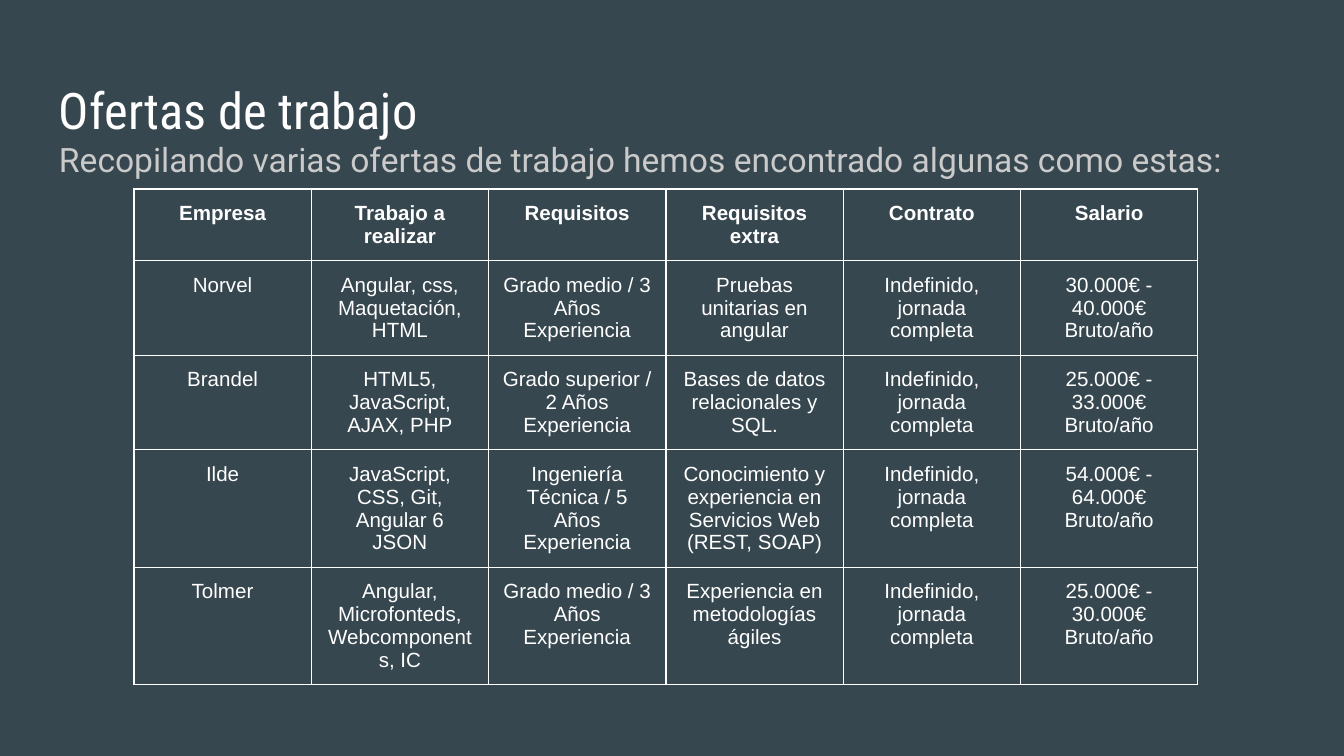
from lxml import etree
from pptx import Presentation
from pptx.dml.color import RGBColor
from pptx.enum import text
from pptx.oxml import ns
from pptx.util import Emu, Pt

SCALE = 914400 / 134.4  # EMU per px
INSET = 13
COLORS = {"background": "37474F", "white": "FFFFFF", "subtitle": "CACACA"}

HEADERS = ["Empresa", "Trabajo a realizar", "Requisitos",
           "Requisitos extra", "Contrato", "Salario"]
CONTRACT = "Indefinido, jornada completa"
OFFERS = [
    ["Norvel", "Angular, css, Maquetación, HTML", "Grado medio / 3 Años Experiencia",
     "Pruebas unitarias en angular", CONTRACT, "30.000€ - 40.000€ Bruto/año"],
    ["Brandel", "HTML5, JavaScript, AJAX, PHP", "Grado superior / 2 Años Experiencia",
     "Bases de datos relacionales y SQL.", CONTRACT, "25.000€ - 33.000€ Bruto/año"],
    ["Ilde", "JavaScript,\nCSS, Git, Angular 6\nJSON",
     "Ingeniería Técnica / 5 Años Experiencia",
     "Conocimiento y experiencia en Servicios Web (REST, SOAP)", CONTRACT,
     "54.000€ - 64.000€ Bruto/año"],
    ["Tolmer", "Angular, Microfonteds, Webcomponents, IC",
     "Grado medio / 3 Años Experiencia", "Experiencia en metodologías ágiles",
     CONTRACT, "25.000€ - 30.000€ Bruto/año"],
]


def px(length):
    return Emu(round(length * SCALE))


def color(name):
    return RGBColor.from_string(COLORS[name])


def set_insets(target):
    for side in ("left", "top", "right", "bottom"):
        setattr(target, "margin_" + side, px(INSET))


def add_span(para, words, font, size, color_name, bold=False):
    span = para.add_run()
    span.text = words
    span.font.name = font
    span.font.size = Pt(size)
    span.font.bold = bold
    span.font.color.rgb = color(color_name)


def fill_placeholder(holder, box, words, font, size, color_name, spacing):
    holder.left, holder.top, holder.width, holder.height = map(px, box)
    frame = holder.text_frame
    set_insets(frame)
    frame.word_wrap = True
    frame.auto_size = text.MSO_AUTO_SIZE.NONE
    frame.vertical_anchor = text.MSO_ANCHOR.TOP
    para = frame.paragraphs[0]
    para.alignment = text.PP_ALIGN.LEFT
    para.line_spacing = spacing
    para.space_before = Pt(0)
    # No bullet and no hanging indent
    properties = para._p.get_or_add_pPr()
    properties.set("marL", "0")
    properties.set("indent", "0")
    etree.SubElement(properties, ns.qn("a:buNone"))
    add_span(para, words, font, size, color_name)


def add_borders(cell):
    properties = cell._tc.get_or_add_tcPr()
    for index, side in enumerate(("lnL", "lnR", "lnT", "lnB")):
        line = etree.Element(ns.qn("a:" + side), w=str(Pt(0.75)))
        fill = etree.SubElement(line, ns.qn("a:solidFill"))
        etree.SubElement(fill, ns.qn("a:srgbClr"), val=COLORS["white"])
        properties.insert(index, line)


def fill_cell(cell, words, bold):
    set_insets(cell)
    cell.vertical_anchor = text.MSO_ANCHOR.TOP
    cell.fill.background()
    add_borders(cell)
    frame = cell.text_frame
    for index, line in enumerate(words.split("\n")):
        para = frame.add_paragraph() if index else frame.paragraphs[0]
        para.alignment = text.PP_ALIGN.CENTER
        add_span(para, line, "Arial", 11, "white", bold)


def add_offers_table(page, box):
    rows = [HEADERS] + OFFERS
    table = page.shapes.add_table(len(rows), len(HEADERS), *map(px, box)).table
    table.first_row = table.horz_banding = False
    for row_index, row in enumerate(rows):
        for column_index, words in enumerate(row):
            fill_cell(table.cell(row_index, column_index), words, row_index == 0)


def build_offers_page(deck):
    page = deck.slides.add_slide(deck.slide_layouts[1])
    page.background.fill.solid()
    page.background.fill.fore_color.rgb = color("background")
    # Title and introduction
    fill_placeholder(page.shapes.title, (46, 66, 1252, 85), "Ofertas de trabajo",
                     "Roboto Condensed", 27, "white", 1.0)
    fill_placeholder(page.placeholders[1], (46, 120, 1252, 551),
                     "Recopilando varias ofertas de trabajo hemos encontrado "
                     "algunas como estas:", "Roboto", 18, "subtitle", 1.15)
    # Job offers; rows grow with their text
    add_offers_table(page, (134, 189, 1064, 280))


def main():
    deck = Presentation()
    deck.slide_width, deck.slide_height = px(1344), px(756)
    build_offers_page(deck)
    deck.save("out.pptx")


if __name__ == "__main__":
    main()
